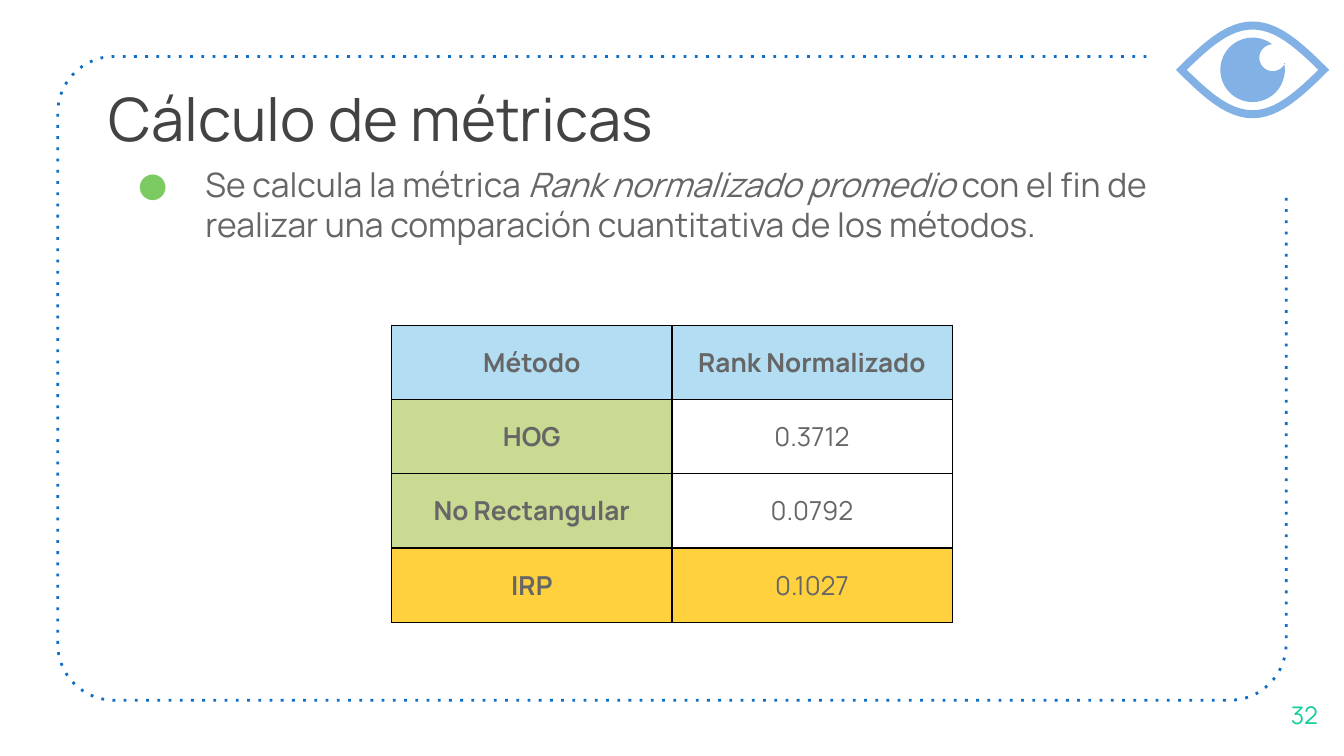
"""Builds the slide that compares the normalised rank of three methods."""
import math
from dataclasses import dataclass

import pptx
import pptx.dml.color
import pptx.enum.text
import pptx.oxml
import pptx.oxml.ns
import pptx.util
from pptx.util import Inches


@dataclass(frozen=True)
class Theme:
    font: str = "Manrope"
    title: str = "434343"
    body: str = "666666"
    number: str = "10CF9B"
    bullet: str = "7CCA62"
    frame: str = "0F6FC6"
    eye: str = "82B1E5"
    header: str = "B3DDF2"
    method: str = "C9DA92"
    highlight: str = "FFD13F"
    border: str = "000000"
    title_size: int = 32
    body_size: int = 18
    table_size: int = 14
    number_size: int = 13


THEME = Theme()
ALIGN = pptx.enum.text.PP_ALIGN
ANCHOR = pptx.enum.text.MSO_ANCHOR


def rgb(color):
    return pptx.dml.color.RGBColor.from_string(color)


def add_xml(parent, xml):
    ns = pptx.oxml.ns.nsdecls("a")
    tag, rest = xml.split(" ", 1)
    parent.append(pptx.oxml.parse_xml(f"<{tag} {ns} {rest}"))


def style(p, size, color, bold=False, align=ALIGN.LEFT):
    p.alignment = align
    p.font.name = THEME.font
    p.font.size = pptx.util.Pt(size)
    p.font.bold = bold
    p.font.color.rgb = rgb(color)


def add_text(s, box, size, color, runs, align=ALIGN.LEFT, anchor=ANCHOR.TOP, bullet=False):
    tf = s.shapes.add_textbox(*map(Inches, box)).text_frame
    tf.word_wrap = True
    tf.vertical_anchor = anchor
    tf.margin_left = tf.margin_right = tf.margin_top = tf.margin_bottom = Inches(0.1)
    p = tf.paragraphs[0]
    if bullet:
        pPr = p._p.get_or_add_pPr()
        pPr.set("marL", str(Inches(0.5)))
        pPr.set("indent", str(Inches(-0.5)))
        add_xml(pPr, f'a:buClr ><a:srgbClr val="{THEME.bullet}"/></a:buClr>')
        add_xml(pPr, f'a:buFont typeface="{THEME.font}"/>')
        add_xml(pPr, 'a:buChar char="●"/>')
    style(p, size, color, align=align)
    for text, italic in runs:
        r = p.add_run()
        r.text = text
        if italic:
            r.font.italic = True


def arc(cx, cy, radius, start, end, steps=16):
    angles = (math.radians(start + (end - start) * i / steps) for i in range(steps + 1))
    return [(cx + radius * math.cos(a), cy + radius * math.sin(a)) for a in angles]


def lens(cx, cy, half_width, half_height, steps=24):
    xs = [-1 + 2 * i / steps for i in range(steps + 1)]
    top = [(cx + half_width * x, cy - half_height * math.cos(math.pi / 2 * x)) for x in xs]
    return top + [(x, 2 * cy - y) for x, y in reversed(top)]


def add_outline(shapes, contours, close=True):
    contours = [[(Inches(x), Inches(y)) for x, y in points] for points in contours]
    fb = shapes.build_freeform(*contours[0][0])
    for i, points in enumerate(contours):
        if i:
            fb.move_to(*points[0])
        fb.add_line_segments(points[1:], close=close)
    sp = fb.convert_to_shape()
    sp.shadow.inherit = False
    return sp


def add_frame(s):
    left, right, top, bottom, radius = 0.43, 9.57, 0.42, 5.21, 0.42
    x, y = left + radius, bottom - radius
    points = [(8.53, top)]
    points += arc(x, top + radius, radius, 270, 180)
    points += arc(x, y, radius, 180, 90)
    points += arc(right - radius, y, radius, 90, 0)
    points.append((right, 1.46))
    sp = add_outline(s.shapes, [points], close=False)
    sp.fill.background()
    sp.line.color.rgb = rgb(THEME.frame)
    sp.line.width = pptx.util.Pt(1.5)
    add_xml(sp.line._get_or_add_ln(), 'a:prstDash val="dot"/>')


def add_eye(s):
    cx, cy = 9.32, 0.52
    rim = [lens(cx, cy, 0.57, 0.36), lens(cx, cy, 0.49, 0.3)]
    pupil = arc(cx, cy, 0.24, -12, 308, 40) + arc(9.47, 0.43, 0.1, 270, 24, 24)
    shapes = s.shapes.add_group_shape().shapes
    for contours in (rim, [pupil]):
        sp = add_outline(shapes, contours)
        sp.fill.solid()
        sp.fill.fore_color.rgb = rgb(THEME.eye)
        sp.line.fill.background()


def fill_cell(cell, text, color, bold):
    cell.text = text
    cell.vertical_anchor = ANCHOR.MIDDLE
    style(cell.text_frame.paragraphs[0], THEME.table_size, THEME.body, bold, ALIGN.CENTER)
    tcPr = cell._tc.get_or_add_tcPr()
    for side in "LRTB":
        add_xml(tcPr, f'a:ln{side} w="{pptx.util.Pt(0.75)}"><a:solidFill>'
                      f'<a:srgbClr val="{THEME.border}"/></a:solidFill></a:ln{side}>')
    if color:
        cell.fill.solid()
        cell.fill.fore_color.rgb = rgb(color)
    else:
        cell.fill.background()


def add_metrics_table(s, slide_width, rows):
    width = Inches(4.17)
    left = (slide_width - width) // 2
    table = s.shapes.add_table(len(rows), 2, left, Inches(2.42), width, Inches(2.21)).table
    table.first_row = table.horz_banding = False
    for i, (texts, colors) in enumerate(rows):
        for j, (text, color) in enumerate(zip(texts, colors)):
            fill_cell(table.cell(i, j), text, color, bold=i == 0 or j == 0)


def main():
    prs = pptx.Presentation()
    prs.slide_width = Inches(10)
    prs.slide_height = prs.slide_width * 9 // 16
    s = prs.slides.add_slide(prs.slide_layouts[6])
    add_frame(s)
    add_text(s, (0.71, 0.51, 7.51, 0.94), THEME.title_size, THEME.title,
             [("Cálculo de métricas", False)])
    add_text(s, (9.41, 5.02, 0.59, 0.6), THEME.number_size, THEME.number,
             [("32", False)], ALIGN.CENTER, ANCHOR.MIDDLE)
    add_text(s, (0.93, 1.12, 7.87, 2.59), THEME.body_size, THEME.body, [
        ("Se calcula la métrica ", False),
        ("Rank normalizado promedio ", True),
        ("con el fin de realizar una comparación cuantitativa de los métodos.", False),
    ], bullet=True)
    add_eye(s)
    add_metrics_table(s, prs.slide_width, [
        (("Método", "Rank Normalizado"), (THEME.header, THEME.header)),
        (("HOG", "0.3712"), (THEME.method, None)),
        (("No Rectangular", "0.0792"), (THEME.method, None)),
        (("IRP", "0.1027"), (THEME.highlight, THEME.highlight)),
    ])
    prs.save("out.pptx")


if __name__ == "__main__":
    main()
